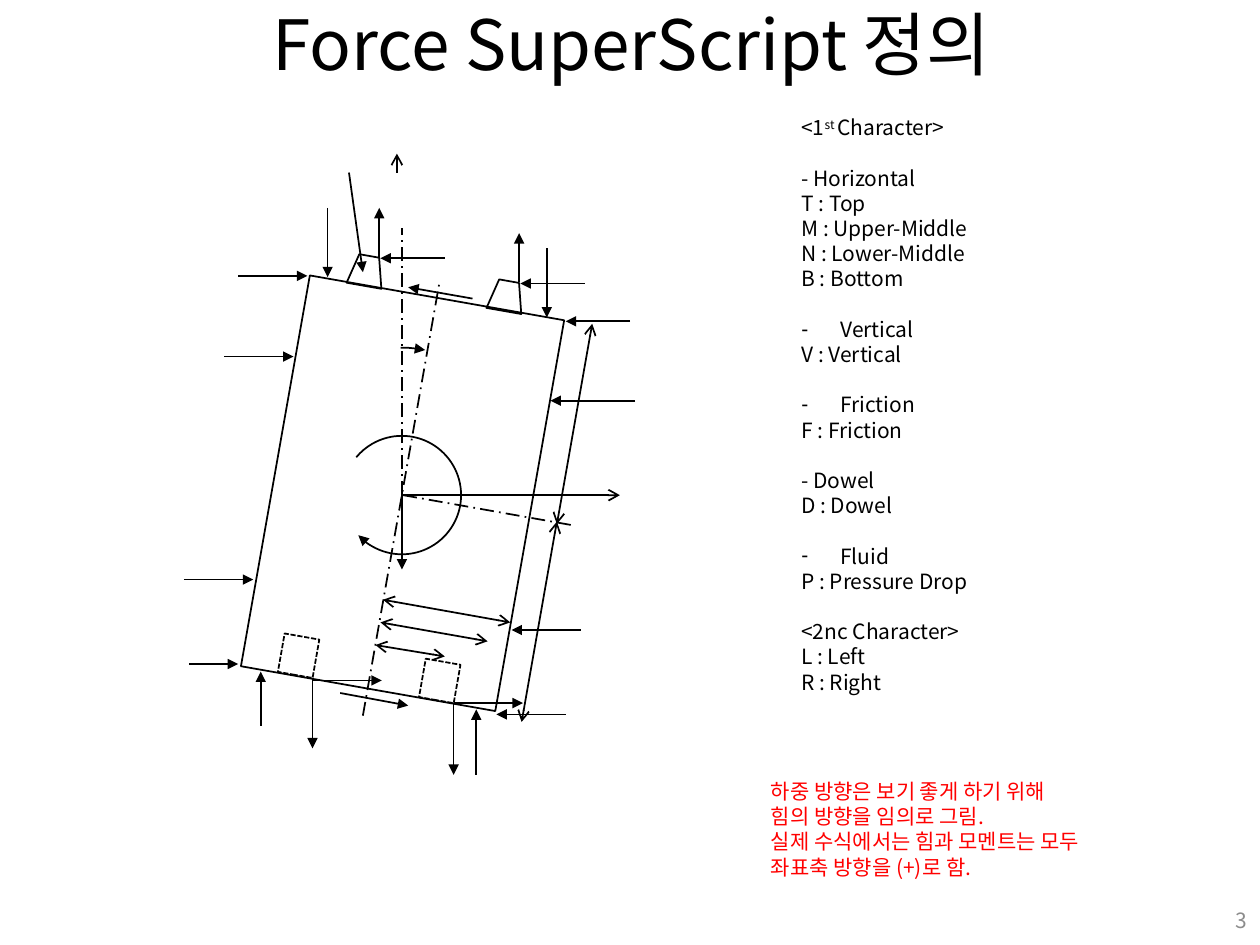
from typing import NamedTuple

from lxml.etree import SubElement
from pptx import Presentation
from pptx.dml.color import RGBColor
from pptx.enum.dml import MSO_LINE
from pptx.enum.shapes import MSO_CONNECTOR, MSO_SHAPE
from pptx.enum.text import MSO_ANCHOR, MSO_AUTO_SIZE, PP_ALIGN
from pptx.oxml.ns import qn
from pptx.util import Inches, Pt

FONT = "Noto Sans CJK KR"
LINE_PITCH = Pt(14.4)
TILT = 10


class Arrow(NamedTuple):
    x1: float
    y1: float
    x2: float
    y2: float


class Outline(NamedTuple):
    preset: MSO_SHAPE
    left: float
    top: float
    width: float
    height: float
    dash: MSO_LINE | None = None


class Arc(NamedTuple):
    left: float
    top: float
    size: float
    start: float
    end: float


class Entry(NamedTuple):
    text: str
    gap: bool = False
    bullet: bool = False


# Loads on the body, each running from its tail to its tip
LOADS = [
    Arrow(5, 2.55, 4.49, 2.55), Arrow(5.04, 3.18, 4.37, 3.18),
    Arrow(4.61, 5, 4.06, 5), Arrow(4.49, 5.67, 3.94, 5.67),
    Arrow(1.5, 5.27, 1.89, 5.27), Arrow(1.46, 4.6, 2.01, 4.6),
    Arrow(1.78, 2.83, 2.33, 2.83), Arrow(1.89, 2.19, 2.44, 2.19),
    Arrow(4.64, 2.25, 4.13, 2.25), Arrow(3.53, 2.05, 3.02, 2.05),
    Arrow(2.7, 5.5, 3.24, 5.6), Arrow(3.6, 5.58, 4.15, 5.58),
    Arrow(2.6, 1.65, 2.6, 2.2), Arrow(4.12, 2.24, 4.12, 1.85),
    Arrow(3.01, 2.05, 3.01, 1.65), Arrow(4.34, 1.97, 4.34, 2.52),
    Arrow(3.75, 2.37, 3.24, 2.28), Arrow(2.48, 5.4, 3.03, 5.4),
    Arrow(2.48, 5.39, 2.48, 5.94), Arrow(3.6, 5.59, 3.6, 6.15),
    Arrow(2.07, 5.76, 2.07, 5.33), Arrow(3.78, 6.15, 3.78, 5.63),
    Arrow(3.19, 3.93, 3.19, 4.52), Arrow(2.77, 1.37, 2.88, 2.16),
]
AXES = [Arrow(3.19, 3.93, 4.92, 3.93), Arrow(3.15, 1.37, 3.15, 1.22)]
DIMENSIONS = [
    Arrow(4.05, 4.94, 3.04, 4.76), Arrow(4.42, 4.14, 4.14, 5.73),
    Arrow(4.7, 2.57, 4.42, 4.16), Arrow(3.87, 5.09, 3.02, 4.94),
    Arrow(3.53, 5.21, 2.98, 5.12),
]
CENTER_LINES = [
    Arrow(2.88, 5.68, 3.49, 2.23), Arrow(3.2, 3.93, 4.55, 4.17),
    Arrow(3.19, 3.93, 3.19, 1.81),
]
OUTLINES = [
    Outline(MSO_SHAPE.RECTANGLE, 2.17, 2.34, 2.05, 3.15),
    Outline(MSO_SHAPE.RECTANGLE, 2.23, 5.05, 0.28, 0.31, MSO_LINE.SQUARE_DOT),
    Outline(MSO_SHAPE.RECTANGLE, 3.35, 5.25, 0.28, 0.31, MSO_LINE.SQUARE_DOT),
    Outline(MSO_SHAPE.TRAPEZOID, 2.77, 2.03, 0.28, 0.24),
    Outline(MSO_SHAPE.TRAPEZOID, 3.88, 2.23, 0.28, 0.24),
]
# Moment and tilt angle, in degrees clockwise from the right
ARCS = [Arc(2.72, 3.46, 0.94, 219.66, 137.34), Arc(2.2, 2.76, 1.97, 269.69, 281.12)]

NAMING = [
    Entry("- Horizontal", gap=True), Entry("T : Top"), Entry("M : Upper-Middle"),
    Entry("N : Lower-Middle"), Entry("B : Bottom"),
    Entry("Vertical", gap=True, bullet=True), Entry("V : Vertical"),
    Entry("Friction", gap=True, bullet=True), Entry("F : Friction"),
    Entry("- Dowel", gap=True), Entry("D : Dowel"),
    Entry("Fluid", gap=True, bullet=True), Entry("P : Pressure Drop"),
    Entry("<2nc Character>", gap=True), Entry("L : Left"), Entry("R : Right"),
]
NOTE = [
    "하중 방향은 보기 좋게 하기 위해",
    "힘의 방향을 임의로 그림.",
    "실제 수식에서는 힘과 모멘트는 모두",
    "좌표축 방향을 (+)로 함.",
]


def color(value: str) -> RGBColor:
    return RGBColor.from_string(value)


def style_line(line, head: str = "", tail: str = "", dash=None) -> None:
    line.color.rgb = color("000000")
    line.width = Pt(1)
    if dash is not None:
        line.dash_style = dash
    for tag, tip in (("a:headEnd", head), ("a:tailEnd", tail)):
        if tip:
            SubElement(line._get_or_add_ln(), qn(tag), type=tip)


def draw_arrow(shapes, arrow: Arrow, **line_format) -> None:
    connector = shapes.add_connector(MSO_CONNECTOR.STRAIGHT, *map(Inches, arrow))
    style_line(connector.line, **line_format)
    SubElement(connector._element.spPr, qn("a:effectLst"))


def draw_outline(shapes, part: Outline) -> None:
    box = map(Inches, (part.left, part.top, part.width, part.height))
    outline = shapes.add_shape(part.preset, *box)
    outline.rotation = TILT
    outline.shadow.inherit = False
    outline.fill.background()
    style_line(outline.line, dash=part.dash)


def draw_arc(shapes, part: Arc) -> None:
    box = map(Inches, (part.left, part.top, part.size, part.size))
    arc = shapes.add_shape(MSO_SHAPE.ARC, *box)
    # Angles are stored in 1/60000 degree, adjustments in 1/100000
    arc.adjustments[0] = part.start * 0.6
    arc.adjustments[1] = part.end * 0.6
    arc.shadow.inherit = False
    arc.fill.background()
    style_line(arc.line, tail="triangle")


def place(shape, left: float, top: float, width: float, height: float) -> None:
    for name, value in zip(("left", "top", "width", "height"), (left, top, width, height)):
        setattr(shape, name, Inches(value))


def set_frame(frame, **settings) -> None:
    for name, value in settings.items():
        setattr(frame, name, value)


def style_paragraph(paragraph, size: float, ink: str, **settings) -> None:
    for name, value in {"space_before": Pt(0), "space_after": Pt(0), **settings}.items():
        setattr(paragraph, name, value)
    for run in paragraph.runs:
        for name, value in {"name": FONT, "size": Pt(size)}.items():
            setattr(run.font, name, value)
        run.font.color.rgb = color(ink)
        for tag in ("a:ea", "a:cs"):
            SubElement(run._r.get_or_add_rPr(), qn(tag), typeface=FONT)


def set_bullet(paragraph, bullet: bool) -> None:
    indent = Inches(0.31) if bullet else 0
    props = paragraph._p.get_or_add_pPr()
    props.set("marL", str(indent))
    props.set("indent", str(-indent))
    if bullet:
        SubElement(props, qn("a:buChar"), char="-")
    else:
        SubElement(props, qn("a:buNone"))


def write_naming(frame) -> None:
    set_frame(frame, word_wrap=False, auto_size=MSO_AUTO_SIZE.SHAPE_TO_FIT_TEXT,
              vertical_anchor=MSO_ANCHOR.TOP)
    heading = frame.paragraphs[0]
    for text in ("<1", "st ", "Character>"):
        heading.add_run().text = text
    set_bullet(heading, False)
    style_paragraph(heading, 12, "000000", line_spacing=LINE_PITCH)
    heading.runs[1].font._element.set("baseline", "30000")
    for entry in NAMING:
        paragraph = frame.add_paragraph()
        paragraph.add_run().text = entry.text
        set_bullet(paragraph, entry.bullet)
        style_paragraph(paragraph, 12, "000000", line_spacing=LINE_PITCH,
                        space_before=LINE_PITCH if entry.gap else Pt(0))


def main() -> None:
    prs = Presentation()
    prs.slide_width, prs.slide_height = Inches(10), Inches(7.5)
    slide = prs.slides.add_slide(prs.slide_layouts[1])
    title, naming = slide.placeholders

    # Title and naming rules
    place(title, 0.51, 0, 9, 0.68)
    title.text_frame.text = "Force SuperScript 정의"
    set_frame(title.text_frame, auto_size=MSO_AUTO_SIZE.NONE, vertical_anchor=MSO_ANCHOR.MIDDLE)
    style_paragraph(title.text_frame.paragraphs[0], 39.6, "000000", alignment=PP_ALIGN.CENTER)
    place(naming, 6.26, 0.86, 1.57, 4.95)
    write_naming(naming.text_frame)

    # Free-body diagram
    diagram = slide.shapes.add_group_shape().shapes
    for part in OUTLINES:
        draw_outline(diagram, part)
    for part in ARCS:
        draw_arc(diagram, part)
    for arrows, line_format in (
        (LOADS, {"tail": "triangle"}),
        (AXES, {"tail": "arrow"}),
        (DIMENSIONS, {"head": "arrow", "tail": "arrow"}),
        (CENTER_LINES, {"dash": MSO_LINE.LONG_DASH_DOT}),
    ):
        for arrow in arrows:
            draw_arrow(diagram, arrow, **line_format)

    # Sign convention note
    note = slide.shapes.add_textbox(*map(Inches, (6.02, 6.13, 2.96, 1.11))).text_frame
    note.text = "\n".join(NOTE)
    set_frame(note, word_wrap=False, auto_size=MSO_AUTO_SIZE.SHAPE_TO_FIT_TEXT)
    for paragraph in note.paragraphs:
        style_paragraph(paragraph, 12, "FF0000", line_spacing=LINE_PITCH)

    # Page number
    page = slide.shapes.add_textbox(*map(Inches, (7.67, 7.1, 2.33, 0.4))).text_frame
    page.text = "3"
    set_frame(page, word_wrap=True, vertical_anchor=MSO_ANCHOR.MIDDLE)
    style_paragraph(page.paragraphs[0], 12, "8C8C8C", alignment=PP_ALIGN.RIGHT)

    prs.save("out.pptx")


if __name__ == "__main__":
    main()
